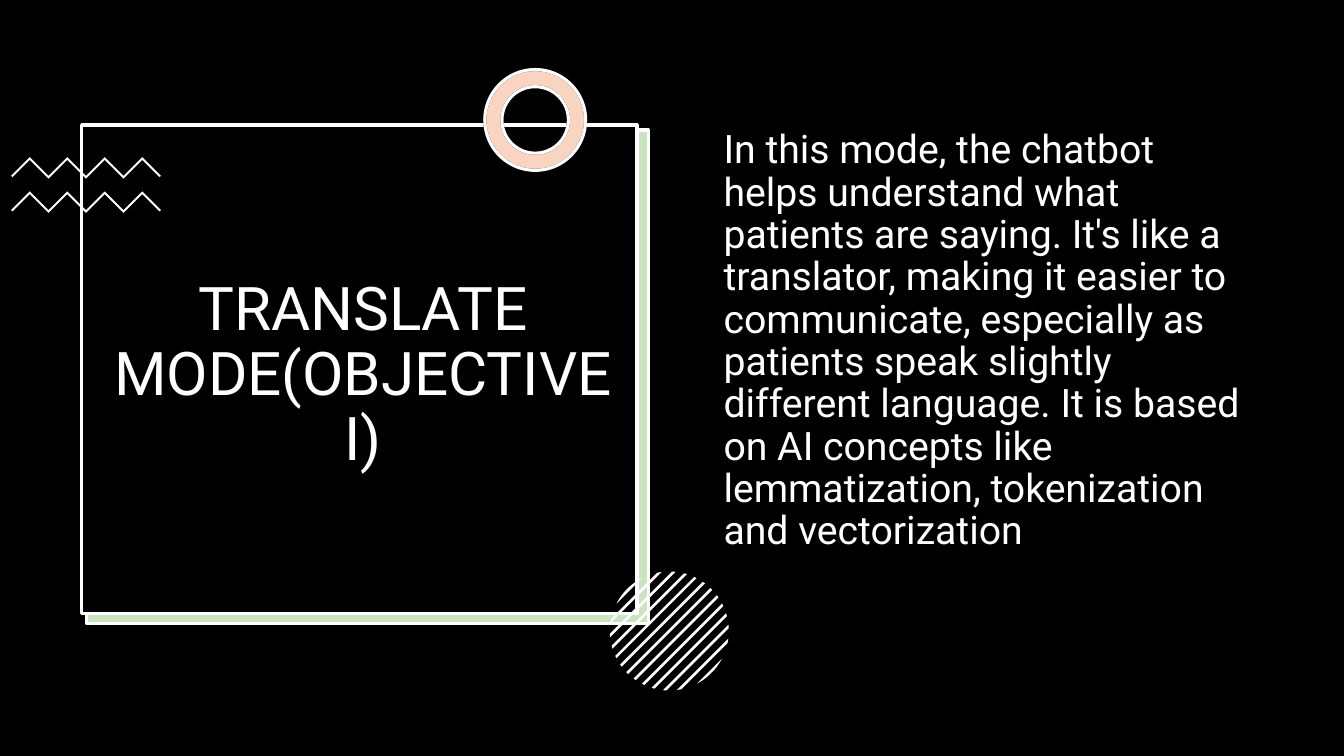
"""Builds the translate mode slide on a grid of tenth-inch cells."""
from math import acos, cos, pi, sin, sqrt

from lxml.etree import SubElement
from pptx import Presentation
from pptx.dml.color import RGBColor
from pptx.enum.shapes import MSO_SHAPE as Preset
from pptx.enum.text import MSO_ANCHOR as Anchor, PP_ALIGN as Align
from pptx.oxml.ns import qn
from pptx.util import Inches, Pt

BLACK = RGBColor(0x00, 0x00, 0x00)
WHITE = RGBColor(0xFF, 0xFF, 0xFF)
GREEN = RGBColor(0x4E, 0xA7, 0x2E)
ORANGE = RGBColor(0xE9, 0x71, 0x32)
FONT = "Roboto"
CELL = Inches(0.1)
COLUMNS, ROWS = 133.33, 75

TITLE = "TRANSLATE MODE(OBJECTIVE I)"
BODY = (
    "In this mode, the chatbot helps understand what patients are saying. "
    "It's like a translator, making it easier to communicate, especially as "
    "patients speak slightly different language. It is based on AI concepts "
    "like lemmatization, tokenization and vectorization"
)


def cells(*counts):
    return [round(count * CELL) for count in counts]


def paint(shape, fill, line=None, opacity=None):
    shape.shadow.inherit = False
    shape.fill.solid()
    shape.fill.fore_color.rgb = fill
    if opacity:
        color = shape.fill._xPr.find(qn("a:solidFill"))[0]
        SubElement(color, qn("a:alpha"), val=str(opacity * 1000))
    if line is None:
        shape.line.fill.background()
    else:
        shape.line.color.rgb = line
        shape.line.width = Pt(2.25)


def add_preset(page, preset, place, fill, line=None, opacity=None):
    shape = page.shapes.add_shape(preset, *cells(*place))
    paint(shape, fill, line, opacity)
    return shape


def add_outline(group, points):
    start, *rest = [cells(*point) for point in points]
    builder = group.shapes.build_freeform(*start)
    builder.add_line_segments(rest, close=True)
    paint(builder.convert_to_shape(), WHITE)


def add_zigzags(page, left, tops, step=1.86, height=1.85, turns=8):
    group = page.shapes.add_group_shape()
    for top in tops:
        upper = [(left + i * step, top + i % 2 * -height + height)
                 for i in range(turns + 1)]
        inner = [(x, y + 0.27) for x, y in upper[1:-1]]
        ends = [(x + shift, y + 0.12)
                for (x, y), shift in ((upper[0], 0.15), (upper[-1], -0.15))]
        add_outline(group, upper + [ends[1]] + inner[::-1] + [ends[0]])


def add_striped_circle(page, center, radius, step=0.96, width=0.26, steps=6):
    group = page.shapes.add_group_shape()
    for stripe in range(-6, 7):
        near, far = [acos((stripe * step + side * width / 2) / radius)
                     for side in (-1, 1)]
        sweep = [near + (far - near) * i / steps for i in range(steps + 1)]
        angles = [pi / 4 + turn for turn in sweep]
        angles += [pi / 4 - turn for turn in reversed(sweep)]
        add_outline(group, [(center[0] + radius * cos(angle),
                             center[1] + radius * sin(angle))
                            for angle in angles])


def write(box, place, text, size, anchor, **layout):
    box.left, box.top, box.width, box.height = cells(*place)
    frame = box.text_frame
    frame.word_wrap = True
    frame.vertical_anchor = anchor
    para = frame.paragraphs[0]
    for name, value in layout.items():
        setattr(para, name, value)
    span = para.add_run()
    span.text = text
    for name, value in {"name": FONT, "size": Pt(size), "bold": False}.items():
        setattr(span.font, name, value)
    span.font.color.rgb = WHITE


def main():
    deck = Presentation()
    deck.slide_width, deck.slide_height = cells(COLUMNS, ROWS)
    page = deck.slides.add_slide(deck.slide_layouts[5])

    add_preset(page, Preset.RECTANGLE, (0, 0, COLUMNS, ROWS), BLACK)
    add_preset(page, Preset.RECTANGLE, (8.5, 13, 55.7, 49), WHITE)
    add_preset(page, Preset.RECTANGLE, (8.6, 12.9, 55.7, 49), GREEN, WHITE, 30)
    add_preset(page, Preset.RECTANGLE, (8.1, 12.4, 55.1, 48.5), BLACK, WHITE)
    add_zigzags(page, 1.1, (15.6, 19))
    for fill, line, opacity in ((WHITE, BLACK, None), (ORANGE, WHITE, 30)):
        ring = add_preset(page, Preset.DONUT, (48.1, 6.9, 10, 10),
                          fill, line, opacity)
        ring.adjustments[0] = 0.17
    add_striped_circle(page, (66.4, 62.6), 5.9)

    title = page.shapes.title
    page.shapes._spTree.append(title._element)
    write(title, (9.2, 15.2, 53.6, 44.2), TITLE, 43, Anchor.MIDDLE,
          alignment=Align.CENTER, line_spacing=0.9)
    body = page.shapes.add_textbox(0, 0, CELL, CELL)
    write(body, (70.8, 12.4, 54.4, 47.6), BODY, 28, Anchor.TOP,
          alignment=Align.LEFT, line_spacing=0.9, space_before=Pt(10))
    deck.save("out.pptx")


if __name__ == "__main__":
    main()
